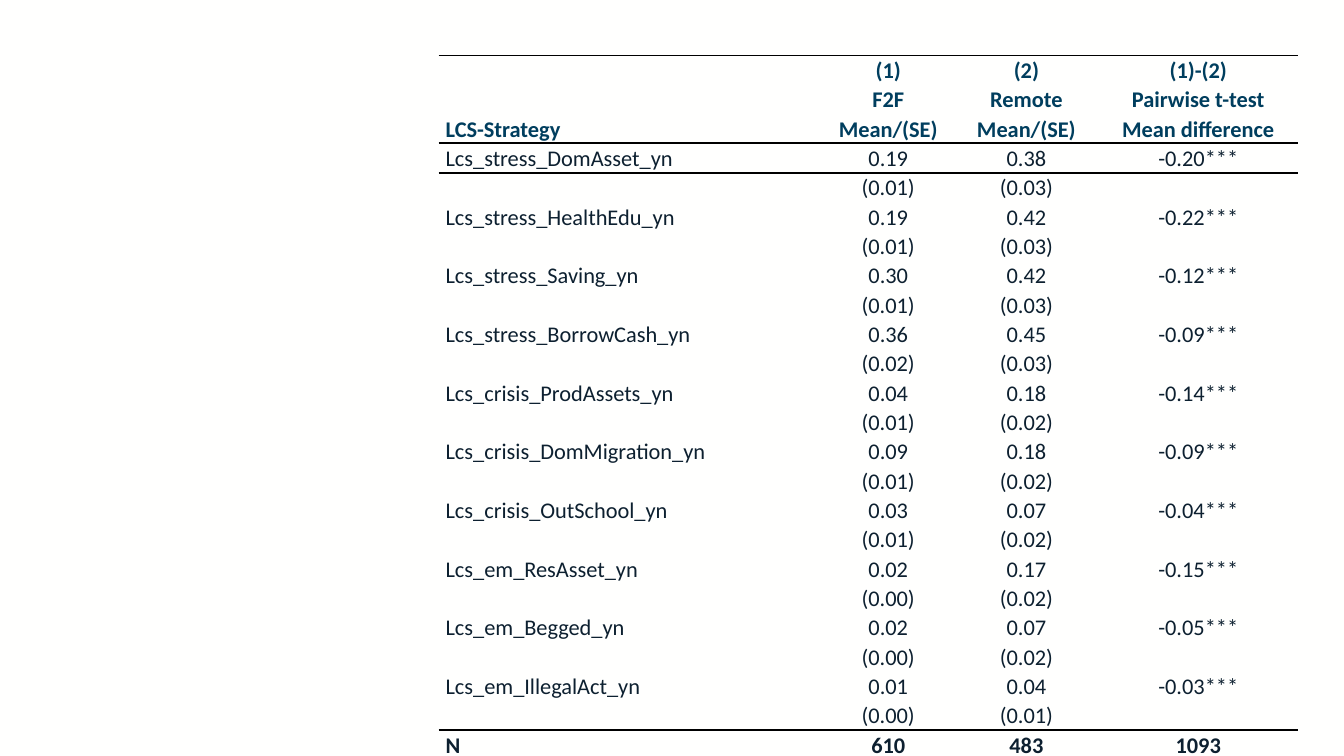
from lxml import etree
from pptx import Presentation
from pptx.dml.color import RGBColor
from pptx.enum.text import MSO_ANCHOR as Anchor, PP_ALIGN as Align
from pptx.oxml.ns import qn
from pptx.util import Inches, Pt

NAVY = RGBColor(0x00, 0x3E, 0x5E)
INK = RGBColor(0x0D, 0x20, 0x30)
BLACK = RGBColor(0x00, 0x00, 0x00)
PAPER = RGBColor(0xFF, 0xFF, 0xFE)
NO_GRID_STYLE = "{2D5ABB26-0587-4C30-8999-92F81FD0307C}"
TEXT_SIZE = Pt(16)

HEADER = ["LCS-Strategy", "(1)\nF2F\nMean/(SE)", "(2)\nRemote\nMean/(SE)",
          "(1)-(2)\nPairwise t-test\nMean difference"]
STRATEGIES = [
    ("Lcs_stress_DomAsset_yn", "0.19", "0.38", "-0.20***", "(0.01)", "(0.03)"),
    ("Lcs_stress_HealthEdu_yn", "0.19", "0.42", "-0.22***", "(0.01)", "(0.03)"),
    ("Lcs_stress_Saving_yn", "0.30", "0.42", "-0.12***", "(0.01)", "(0.03)"),
    ("Lcs_stress_BorrowCash_yn", "0.36", "0.45", "-0.09***", "(0.02)", "(0.03)"),
    ("Lcs_crisis_ProdAssets_yn", "0.04", "0.18", "-0.14***", "(0.01)", "(0.02)"),
    ("Lcs_crisis_DomMigration_yn", "0.09", "0.18", "-0.09***", "(0.01)", "(0.02)"),
    ("Lcs_crisis_OutSchool_yn", "0.03", "0.07", "-0.04***", "(0.01)", "(0.02)"),
    ("Lcs_em_ResAsset_yn", "0.02", "0.17", "-0.15***", "(0.00)", "(0.02)"),
    ("Lcs_em_Begged_yn", "0.02", "0.07", "-0.05***", "(0.00)", "(0.02)"),
    ("Lcs_em_IllegalAct_yn", "0.01", "0.04", "-0.03***", "(0.00)", "(0.01)"),
]
TOTALS = ["N", "610", "483", "1093"]

rows = [HEADER]
for name, face, remote, difference, face_error, remote_error in STRATEGIES:
    rows.append([name, face, remote, difference])
    rows.append(["", face_error, remote_error, ""])
rows.append(TOTALS)
last = len(rows) - 1


def add_rule(cell, tag):
    line = etree.SubElement(cell._tc.get_or_add_tcPr(), qn(tag), w=str(Pt(1.5)))
    fill = etree.SubElement(line, qn("a:solidFill"))
    etree.SubElement(fill, qn("a:srgbClr"), val=str(BLACK))


def write_cell(cell, text, color, bold, align, space_after):
    for index, words in enumerate(text.split("\n")):
        frame = cell.text_frame
        para = frame.add_paragraph() if index else frame.paragraphs[0]
        para.alignment = align
        para.line_spacing = 1.07
        para.space_after = space_after
        if not words:
            end = para._p.get_or_add_endParaRPr()
            end.set("sz", str(int(TEXT_SIZE.pt * 100)))
            continue
        span = para.add_run()
        span.text = words
        span.font.name = "Calibri"
        span.font.size = TEXT_SIZE
        span.font.bold = bold
        span.font.color.rgb = color


deck = Presentation()
deck.slide_width, deck.slide_height = Inches(13.33), Inches(7.5)
page = deck.slides.add_slide(deck.slide_layouts[6])
page.background.fill.solid()
page.background.fill.fore_color.rgb = PAPER

frame = page.shapes.add_table(len(rows), 4, Inches(4.35), Inches(0.55),
                              Inches(8.52), Inches(4.94))
table = frame.table
table.first_row = table.horz_banding = False
table._tbl.tblPr.find(qn("a:tableStyleId")).text = NO_GRID_STYLE

for column, width in zip(table.columns, [3.81, 1.3, 1.44, 1.97]):
    column.width = Inches(width)

for row_index, row in enumerate(rows):
    is_header, is_total = row_index == 0, row_index == last
    height = 0.58 if is_header else 0.36 if is_total else 0.2
    table.rows[row_index].height = Inches(height)
    for column_index, text in enumerate(row):
        cell = table.cell(row_index, column_index)
        cell.margin_left = cell.margin_right = Inches(0.07)
        cell.margin_top = cell.margin_bottom = 0
        at_top = is_total or (is_header and column_index > 0)
        cell.vertical_anchor = Anchor.TOP if at_top else Anchor.BOTTOM
        if row_index in (0, 1, last):
            add_rule(cell, "a:lnT")
        if row_index in (0, last - 1, last):
            add_rule(cell, "a:lnB")
        cell.fill.background()
        write_cell(cell, text, NAVY if is_header else INK, is_header or is_total,
                   Align.CENTER if column_index else Align.LEFT,
                   Pt(0 if is_header else 8))

deck.save("out.pptx")
